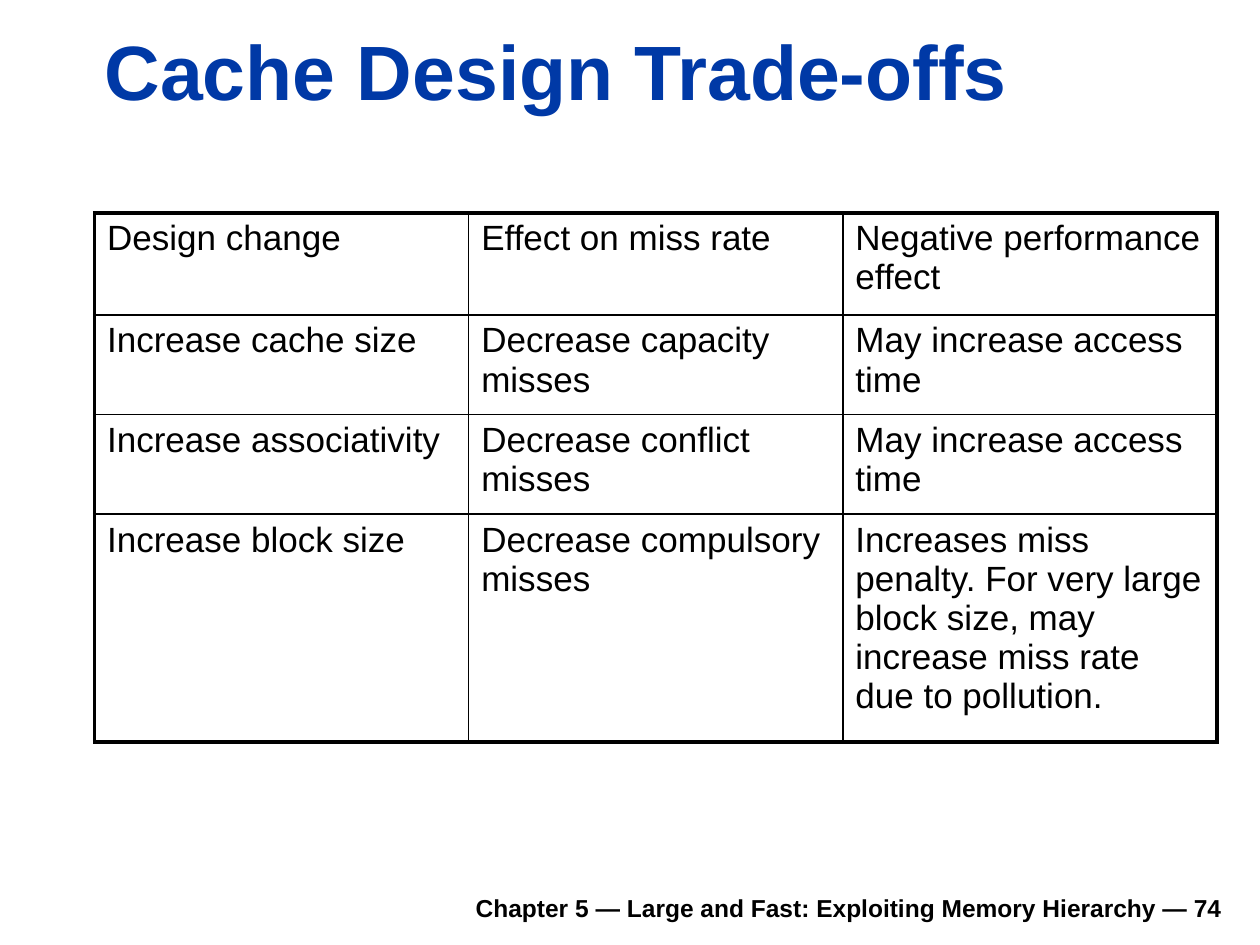
from lxml import etree
from pptx import Presentation
from pptx import util as u
from pptx.dml.color import RGBColor
from pptx.enum import text
from pptx.oxml import ns

BLUE = RGBColor(0x00, 0x39, 0xA6)
BLACK = RGBColor(0, 0, 0)

TITLE = "Cache Design Trade-offs"
FOOTER = "Chapter 5 — Large and Fast: Exploiting Memory Hierarchy — 74"
ROWS = [
    ("Design change", "Effect on miss rate", "Negative performance effect"),
    ("Increase cache size", "Decrease capacity misses", "May increase access time"),
    ("Increase associativity", "Decrease conflict misses", "May increase access time"),
    ("Increase block size", "Decrease compulsory misses",
     "Increases miss penalty. For very large block size, "
     "may increase miss rate due to pollution."),
]
HEIGHTS = [0.81, 0.79, 0.79, 1.81]
COL = 2.97
OUTER, HEAD, INNER = 2.25, 1.5, 1


def style(frame, size, color, bold=False, align=text.PP_ALIGN.LEFT):
    para = frame.paragraphs[0]
    para.alignment = align
    for run in para.runs:
        font = run.font
        font.name, font.size, font.bold = "Arial", u.Pt(size), bold
        font.color.rgb = color


def border(cell, widths):
    props = cell._tc.get_or_add_tcPr()
    for i, (side, width) in enumerate(widths.items()):
        line = etree.Element(ns.qn("a:ln" + side), w=str(u.Pt(width)))
        fill = etree.SubElement(line, ns.qn("a:solidFill"))
        etree.SubElement(fill, ns.qn("a:srgbClr"), val=str(BLACK))
        props.insert(i, line)


deck = Presentation()
deck.slide_width, deck.slide_height = u.Inches(10), u.Inches(7.5)
slide = deck.slides.add_slide(deck.slide_layouts[5])

# Footer
foot = slide.shapes.add_textbox(
    u.Inches(1.85), u.Inches(6.98), u.Inches(7.95), u.Inches(0.39))
frame = foot.text_frame
frame.word_wrap = True
frame.vertical_anchor = text.MSO_ANCHOR.BOTTOM
frame.text = FOOTER
style(frame, 14, BLACK, True, text.PP_ALIGN.RIGHT)

# Title
title = slide.shapes.title
title.left, title.top = u.Inches(0.73), u.Inches(0.13)
title.width, title.height = u.Inches(8.52), u.Inches(0.84)
frame = title.text_frame
frame.text = TITLE
frame.word_wrap = True
frame.auto_size = text.MSO_AUTO_SIZE.SHAPE_TO_FIT_TEXT
frame.vertical_anchor = text.MSO_ANCHOR.BOTTOM
style(frame, 44, BLUE, True)

# Table: thick frame, medium rule under the header, thin rules elsewhere
last_row, last_col = len(ROWS) - 1, len(ROWS[0]) - 1
table = slide.shapes.add_table(
    len(ROWS), len(ROWS[0]), u.Inches(0.75), u.Inches(1.69),
    u.Inches(COL * len(ROWS[0])), u.Inches(sum(HEIGHTS))).table
table.first_row = table.horz_banding = False
for col in table.columns:
    col.width = u.Inches(COL)
for r, (row, height) in enumerate(zip(ROWS, HEIGHTS)):
    table.rows[r].height = u.Inches(height)
    for c, words in enumerate(row):
        cell = table.cell(r, c)
        cell.text = words
        cell.fill.background()
        style(cell.text_frame, 20, BLACK)
        border(cell, {
            "L": OUTER if c == 0 else INNER,
            "R": OUTER if c == last_col else INNER,
            "T": {0: OUTER, 1: HEAD}.get(r, INNER),
            "B": {0: HEAD, last_row: OUTER}.get(r, INNER),
        })

deck.save("out.pptx")
